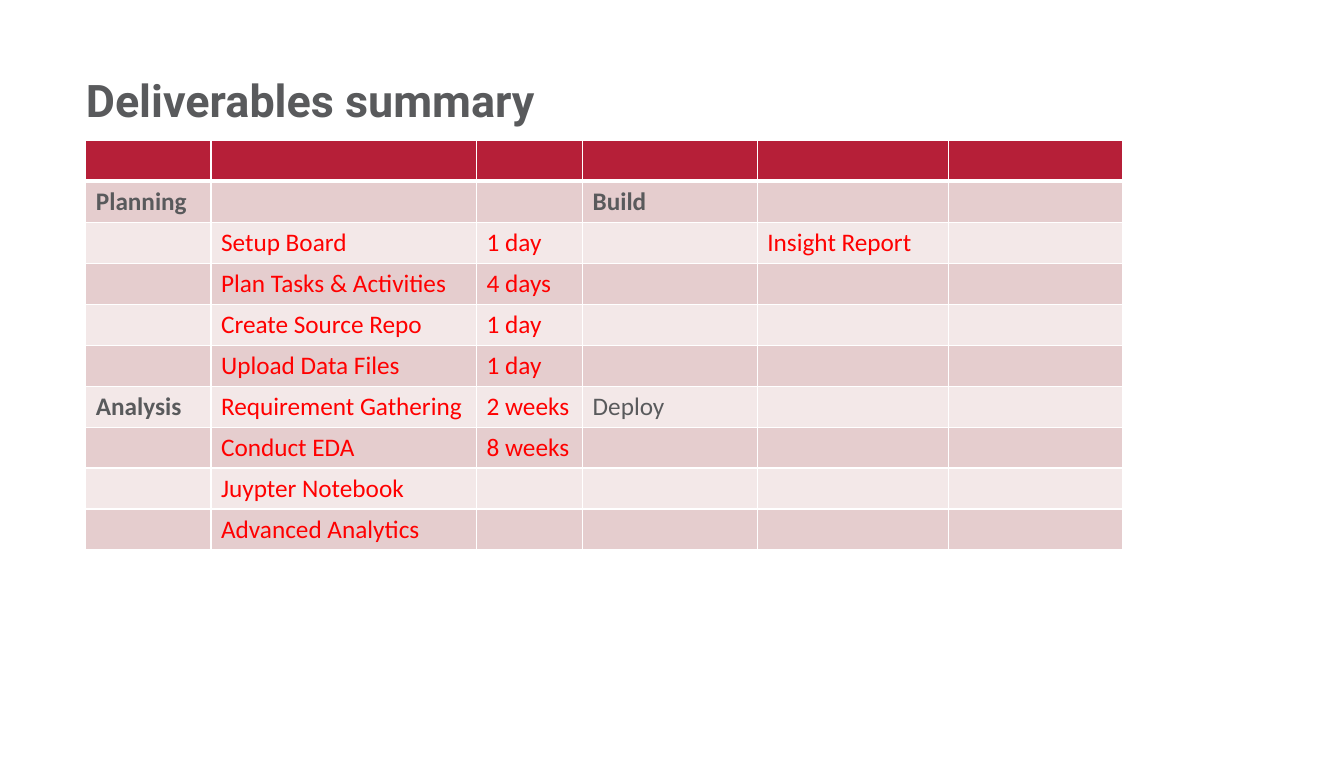
import dataclasses

import pptx
import pptx.dml.color
import pptx.enum.text
import pptx.oxml
import pptx.oxml.ns
import pptx.util

Inches = pptx.util.Inches


@dataclasses.dataclass(frozen=True)
class Theme:
    header: str = "B61F38"
    dark_band: str = "E5CDCE"
    light_band: str = "F3E8E8"
    grid: str = "FFFFFF"
    heading: str = "595A5C"
    task: str = "FF0000"
    title_font: str = "Roboto"
    body_font: str = "Calibri"
    title_size: int = 32
    body_size: int = 18
    grid_width: int = 1
    header_rule: int = 3


THEME = Theme()
COLUMN_WIDTHS = [1.24, 2.63, 1.05, 1.73, 1.89, 1.73]
PHASE_COLUMNS = (0, 3)
BOLD_PHASES = ("Planning", "Build", "Analysis")
DELIVERABLES = [
    ["", "", "", "", "", ""],
    ["Planning", "", "", "Build", "", ""],
    ["", "Setup Board", "1 day", "", "Insight Report", ""],
    ["", "Plan Tasks & Activities", "4 days", "", "", ""],
    ["", "Create Source Repo", "1 day", "", "", ""],
    ["", "Upload Data Files", "1 day", "", "", ""],
    ["Analysis", "Requirement Gathering", "2 weeks", "Deploy", "", ""],
    ["", "Conduct EDA", "8 weeks", "", "", ""],
    ["", "Juypter Notebook", "", "", "", ""],
    ["", "Advanced Analytics", "", "", "", ""],
]


def rgb(value):
    return pptx.dml.color.RGBColor.from_string(value)


def add_run(paragraph, text, font, size, color, bold):
    run = paragraph.add_run()
    run.text = text
    run.font.name = font
    run.font.size = pptx.util.Pt(size)
    run.font.color.rgb = rgb(color)
    run.font.bold = bold


def set_borders(cell, row):
    properties = cell._tc.get_or_add_tcPr()
    rules = {"L": THEME.grid_width, "R": THEME.grid_width,
             "T": THEME.header_rule if row == 1 else THEME.grid_width,
             "B": THEME.header_rule if row == 0 else THEME.grid_width}
    for side, width in rules.items():
        properties.append(pptx.oxml.parse_xml(
            f'<a:ln{side} {pptx.oxml.ns.nsdecls("a")} w="{pptx.util.Pt(width)}">'
            f'<a:solidFill><a:srgbClr val="{THEME.grid}"/></a:solidFill>'
            f'</a:ln{side}>'))


def band_color(row):
    if row == 0:
        return THEME.header
    return THEME.dark_band if row % 2 else THEME.light_band


def place_title(slide, left, top, width, height):
    title = slide.shapes.title
    title.left, title.top = Inches(left), Inches(top)
    title.width, title.height = Inches(width), Inches(height)
    frame = title.text_frame
    frame.margin_left = frame.margin_right = 0
    frame.margin_top = frame.margin_bottom = 0
    frame.vertical_anchor = pptx.enum.text.MSO_ANCHOR.TOP
    frame.auto_size = pptx.enum.text.MSO_AUTO_SIZE.NONE
    frame.word_wrap = True
    heading = frame.paragraphs[0]
    heading.alignment = pptx.enum.text.PP_ALIGN.LEFT
    heading.line_spacing = 0.9
    add_run(heading, "Deliverables summary", THEME.title_font,
            THEME.title_size, THEME.heading, True)


def place_deliverables(slide, left, top, width, height):
    schedule = slide.shapes.add_table(
        len(DELIVERABLES), len(COLUMN_WIDTHS), Inches(left), Inches(top),
        Inches(width), Inches(height)).table
    for column, column_width in zip(schedule.columns, COLUMN_WIDTHS):
        column.width = Inches(column_width)
    for row, entries in enumerate(DELIVERABLES):
        for column, entry in enumerate(entries):
            cell = schedule.cell(row, column)
            set_borders(cell, row)
            cell.fill.solid()
            cell.fill.fore_color.rgb = rgb(band_color(row))
            if entry:
                color = THEME.heading if column in PHASE_COLUMNS else THEME.task
                add_run(cell.text_frame.paragraphs[0], entry, THEME.body_font,
                        THEME.body_size, color, entry in BOLD_PHASES)


def main():
    deck = pptx.Presentation()
    deck.slide_width, deck.slide_height = Inches(13.31), Inches(7.5)
    slide = deck.slides.add_slide(deck.slide_layouts[5])
    place_title(slide, 0.85, 0.78, 10.47, 0.27)
    place_deliverables(slide, 0.85, 1.39, sum(COLUMN_WIDTHS), 4.06)
    deck.save("out.pptx")


if __name__ == "__main__":
    main()
